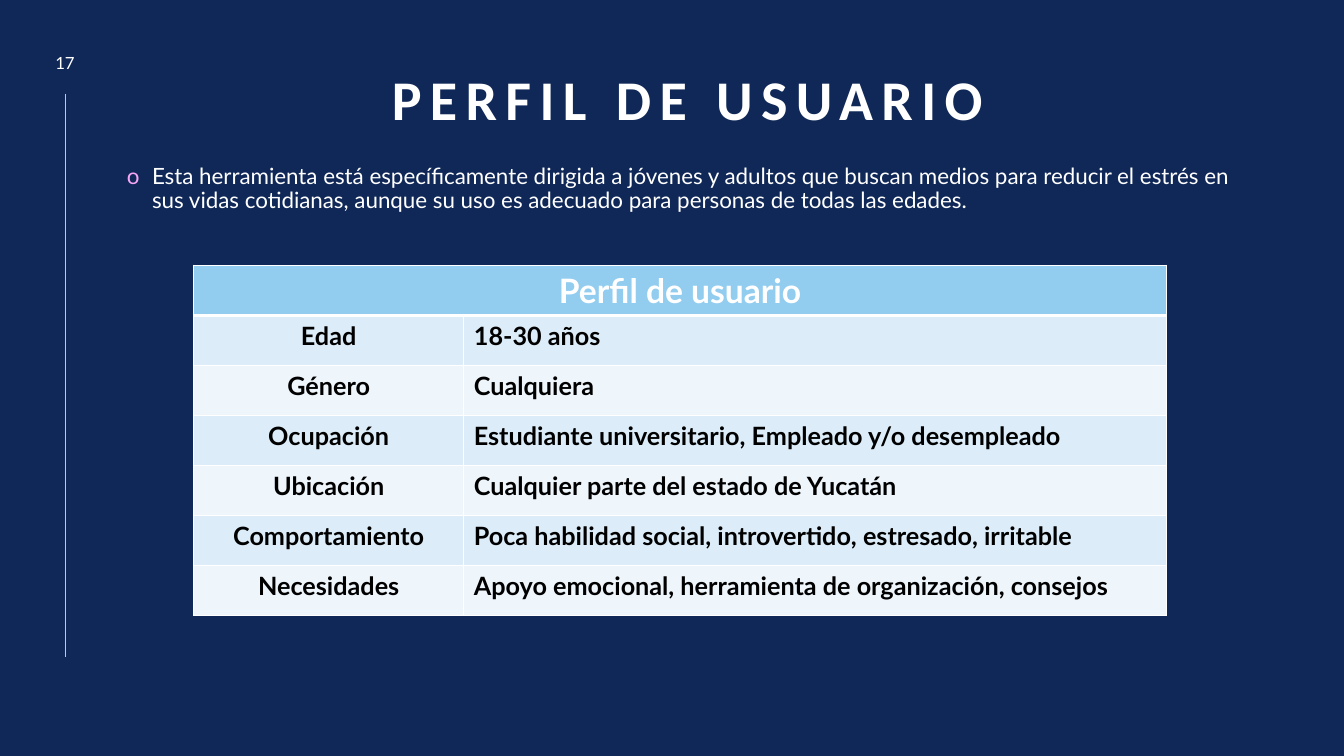
from dataclasses import dataclass

from lxml import etree
from pptx import Presentation
from pptx.dml.color import RGBColor
from pptx.enum.shapes import MSO_CONNECTOR
from pptx.enum.text import MSO_ANCHOR, PP_ALIGN
from pptx.oxml.ns import qn
from pptx.util import Emu, Pt

STRAIGHT = MSO_CONNECTOR.STRAIGHT
TOP, MIDDLE, BOTTOM = MSO_ANCHOR.TOP, MSO_ANCHOR.MIDDLE, MSO_ANCHOR.BOTTOM
LEFT, CENTER = PP_ALIGN.LEFT, PP_ALIGN.CENTER

EMU_PER_PX = 9144
COLORS = {
    "navy": "102857",
    "pink": "F6A6F4",
    "white": "FFFFFF",
    "black": "000000",
    "header": "92CDF0",
    "band_dark": "DCEDF9",
    "band_light": "EEF6FC",
}
PROFILE = [
    ("Edad", "18-30 años"),
    ("Género", "Cualquiera"),
    ("Ocupación", "Estudiante universitario, Empleado y/o desempleado"),
    ("Ubicación", "Cualquier parte del estado de Yucatán"),
    ("Comportamiento", "Poca habilidad social, introvertido, estresado, irritable"),
    ("Necesidades", "Apoyo emocional, herramienta de organización, consejos"),
]


@dataclass(frozen=True)
class Label:
    text: str
    left: int
    top: int
    width: int
    height: int
    size: int
    font: str = "Lato"
    bold: bool = False
    align: PP_ALIGN = CENTER
    anchor: MSO_ANCHOR = MIDDLE
    line_spacing: float = 1.0
    tracking: int = 0
    bullet: str = ""


LABELS = [
    Label("PERFIL DE USUARIO", 87, 20, 1190, 117, 40, font="Calibri", bold=True,
          anchor=BOTTOM, line_spacing=0.9, tracking=6),
    Label("Esta herramienta está específicamente dirigida a jóvenes y adultos que buscan "
          "medios para reducir el estrés en sus vidas cotidianas, aunque su uso es adecuado "
          "para personas de todas las edades.", 116, 159, 1130, 388, 16,
          align=LEFT, anchor=TOP, line_spacing=0.9, bullet="o"),
    Label("17", 36, 45, 57, 34, 12),
]


def px(value: int) -> Emu:
    return Emu(value * EMU_PER_PX)


def rgb(name: str) -> RGBColor:
    return RGBColor.from_string(COLORS[name])


def style_paragraph(para, size: int, color: str, font: str, bold: bool, align: PP_ALIGN) -> None:
    para.alignment = align
    para.font.size = Pt(size)
    para.font.name = font
    para.font.bold = bold
    para.font.color.rgb = rgb(color)


def add_bullet(para, symbol: str) -> None:
    properties = para._p.get_or_add_pPr()
    properties.set("marL", str(px(25)))
    properties.set("indent", str(-px(25)))
    color = etree.SubElement(properties, qn("a:buClr"))
    etree.SubElement(color, qn("a:srgbClr"), val=COLORS["pink"])
    etree.SubElement(properties, qn("a:buFont"), typeface="Lato")
    etree.SubElement(properties, qn("a:buChar"), char=symbol)


def add_label(page, label: Label) -> None:
    box = page.shapes.add_textbox(px(label.left), px(label.top), px(label.width), px(label.height))
    frame = box.text_frame
    frame.word_wrap = True
    frame.vertical_anchor = label.anchor
    para = frame.paragraphs[0]
    para.line_spacing = label.line_spacing
    if label.bullet:
        add_bullet(para, label.bullet)
    span = para.add_run()
    span.text = label.text
    if label.tracking:
        span._r.get_or_add_rPr().set("spc", str(label.tracking * 100))
    style_paragraph(para, label.size, "white", label.font, label.bold, label.align)


def add_side_line(page) -> None:
    line = page.shapes.add_connector(STRAIGHT, px(65), px(93), px(65), px(652))
    line.line.color.rgb = rgb("pink")
    line.line.width = Pt(0.5)
    etree.SubElement(line._element.spPr, qn("a:effectLst"))


def set_borders(cell, top: int, bottom: int) -> None:
    properties = cell._tc.get_or_add_tcPr()
    widths = {"a:lnL": 1, "a:lnR": 1, "a:lnT": top, "a:lnB": bottom}
    for position, (tag, width) in enumerate(widths.items()):
        border = etree.Element(qn(tag), w=str(Pt(width)))
        fill = etree.SubElement(border, qn("a:solidFill"))
        etree.SubElement(fill, qn("a:srgbClr"), val=COLORS["white"])
        properties.insert(position, border)


def fill_cell(cell, text: str, fill: str, color: str, size: int, align: PP_ALIGN) -> None:
    cell.fill.solid()
    cell.fill.fore_color.rgb = rgb(fill)
    cell.text = text
    style_paragraph(cell.text_frame.paragraphs[0], size, color, "Lato", True, align)


def add_profile_table(page) -> None:
    frame = page.shapes.add_table(len(PROFILE) + 1, 2, px(192), px(263), px(965), px(347))
    table = frame.table
    for column, width in zip(table.columns, (268, 697)):
        column.width = px(width)

    header, header_end = table.cell(0, 0), table.cell(0, 1)
    header.merge(header_end)
    fill_cell(header, "Perfil de usuario", "header", "white", 24, CENTER)
    for cell in (header, header_end):
        set_borders(cell, top=1, bottom=3)

    for row, entry in enumerate(PROFILE, start=1):
        band = "band_dark" if row % 2 else "band_light"
        for column, (text, align) in enumerate(zip(entry, (CENTER, LEFT))):
            cell = table.cell(row, column)
            fill_cell(cell, text, band, "black", 18, align)
            set_borders(cell, top=3 if row == 1 else 1, bottom=1)


def main() -> None:
    deck = Presentation()
    deck.slide_width, deck.slide_height = px(1333), px(750)
    page = deck.slides.add_slide(deck.slide_layouts[6])
    page.background.fill.solid()
    page.background.fill.fore_color.rgb = rgb("navy")
    add_side_line(page)
    for label in LABELS:
        add_label(page, label)
    add_profile_table(page)
    deck.save("out.pptx")


if __name__ == "__main__":
    main()
